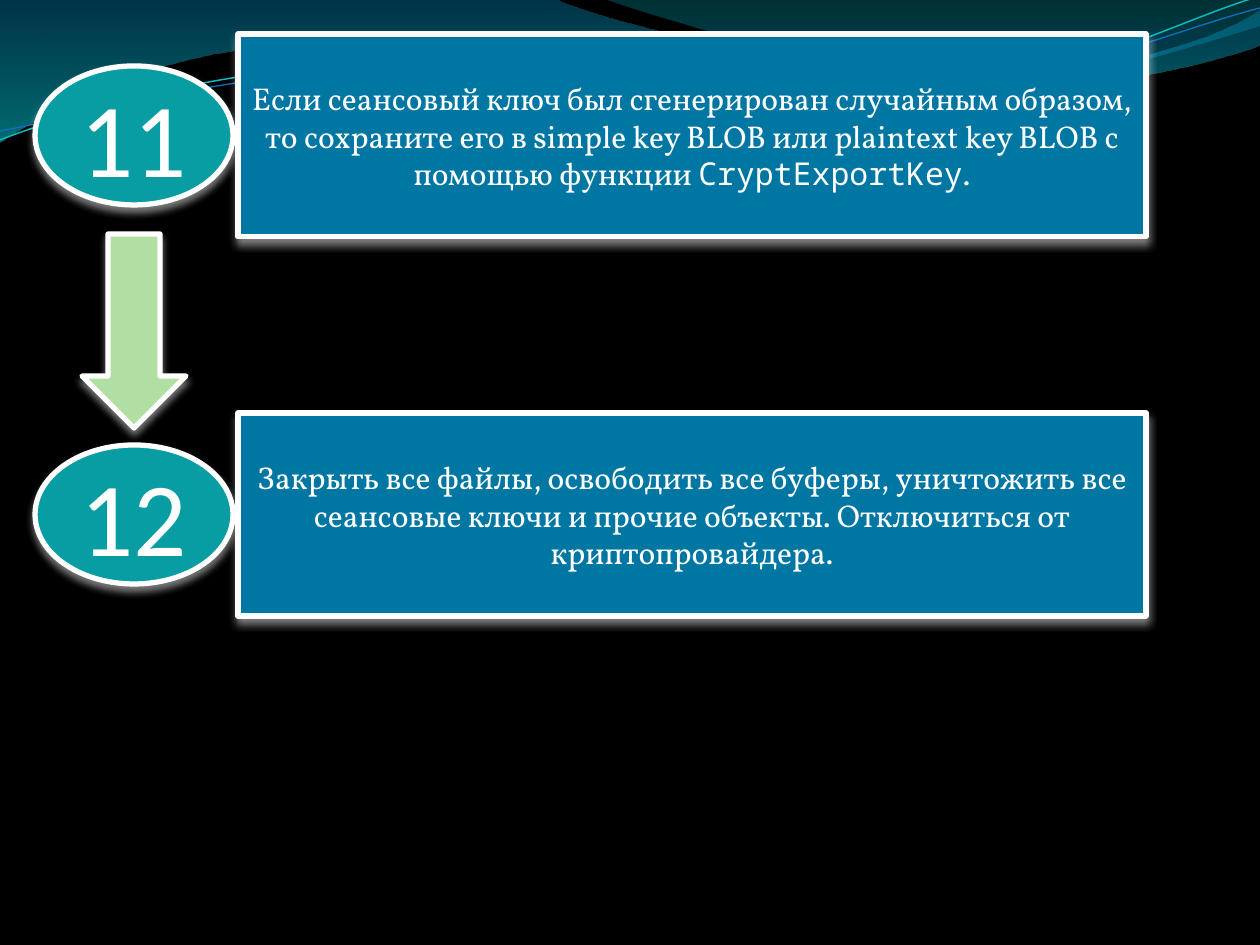
from dataclasses import dataclass
from math import cos, radians, sin

from lxml import etree
from pptx import Presentation
from pptx.dml.color import RGBColor
from pptx.enum.shapes import MSO_SHAPE
from pptx.enum.text import MSO_ANCHOR, PP_ALIGN
from pptx.oxml import parse_xml
from pptx.oxml.ns import nsdecls, qn
from pptx.util import Pt

OVAL, RECT, DOWN_ARROW = MSO_SHAPE.OVAL, MSO_SHAPE.RECTANGLE, MSO_SHAPE.DOWN_ARROW
MIDDLE, CENTER = MSO_ANCHOR.MIDDLE, PP_ALIGN.CENTER
EMU_PER_PX = 914400 / 126


@dataclass(frozen=True)
class Theme:
    background: str = "000000"
    white: str = "FFFFFF"
    number_fill: str = "089CA3"
    step_fill: str = "0076A3"
    arrow_fill: str = "B0DFA1"
    shadow: str = "FFFFFF"
    teal_line: str = "0AB8BF"
    blue_line: str = "0F6FC6"
    left_wave: tuple = ((0, "0074A1", 45), (100, "00C6CF", 55))
    right_wave: tuple = ((0, "00A1A9", 30), (80, "008BBF", 45))
    number_font: str = "Calibri"
    body_font: str = "Vollkorn"
    code_font: str = "Noto Sans Mono"
    number_size: int = 60
    body_size: int = 18
    outline: int = 3


THEME = Theme()

LEFT_WAVE = [
    (0, 0), (554, -1),
    (600, 21, 837, 79, 955, 79), (1075, 79, 1207, 47, 1260, 11),
    (1261, 45),
    (1239, 55, 1096, 96, 940, 95), (784, 95, 481, 35, 324, 43),
    (163, 45, 58, 105, -1, 142),
    (0, 0),
]
RIGHT_WAVE = [
    (604, -1), (641, 14, 859, 78, 969, 82), (1079, 87, 1211, 40, 1260, 26),
    (1260, 0), (604, -1),
]
TEAL_CURVE = [
    (0, 140), (60, 117, 199, 72, 349, 66), (498, 59, 747, 112, 898, 101),
    (1050, 89, 1182, 19, 1257, -3),
]
BLUE_CURVE = [
    (0, 131), (59, 121, 207, 77, 357, 71), (508, 64, 752, 106, 903, 95),
    (1053, 84, 1186, 26, 1260, 8),
]
CURVE_TILT = 357.3

STEPS = [
    ("11", [
        ("Если сеансовый ключ был сгенерирован случайным образом, то сохраните "
         "его в simple key BLOB или plaintext key BLOB с помощью функции ",
         THEME.body_font),
        ("CryptExportKey", THEME.code_font),
        (".", THEME.body_font),
    ]),
    ("12", [
        ("Закрыть все файлы, освободить все буферы, уничтожить все сеансовые "
         "ключи и прочие объекты. Отключиться от криптопровайдера.",
         THEME.body_font),
    ]),
]
STEP_PITCH = 379


def px(value):
    return round(value * EMU_PER_PX)


def rgb(color):
    return RGBColor.from_string(color)


def rotate(point, center, degrees):
    angle = radians(degrees)
    dx, dy = point[0] - center[0], point[1] - center[1]
    return (center[0] + dx * cos(angle) - dy * sin(angle),
            center[1] + dx * sin(angle) + dy * cos(angle))


def join_curves(sp, segments):
    lines = iter(list(sp._element.spPr.iter(qn("a:lnTo"))))
    for segment in segments:
        line = next(lines)
        if len(segment) == 6:
            line.addprevious(curve := parse_xml(f'<a:cubicBezTo {nsdecls("a")}/>'))
            for part in (line, next(lines), next(lines)):
                curve.append(part[0])
                part.getparent().remove(part)


def add_path(s, path, *, close, center=(0, 0), tilt=0):
    points = [segment[i:i + 2] for segment in path for i in range(0, len(segment), 2)]
    start, *rest = [tuple(map(px, rotate(point, center, -tilt))) for point in points]
    builder = s.shapes.build_freeform(*start)
    builder.add_line_segments(rest, close=close)
    sp = builder.convert_to_shape()
    join_curves(sp, path[1:])
    sp.rotation = tilt
    sp.shadow.inherit = False
    return sp


def add_wave(s, path, stops):
    sp = add_path(s, path, close=True)
    sp.line.fill.background()
    stop_xml = "".join(
        f'<a:gs pos="{pos * 1000}"><a:srgbClr val="{color}">'
        f'<a:alpha val="{alpha * 1000}"/></a:srgbClr></a:gs>'
        for pos, color, alpha in stops
    )
    gradient = parse_xml(
        f'<a:gradFill {nsdecls("a")} rotWithShape="1"><a:gsLst>{stop_xml}</a:gsLst>'
        '<a:lin ang="5400000" scaled="0"/></a:gradFill>'
    )
    sp._element.spPr.find(qn("a:custGeom")).addnext(gradient)


def add_curve(s, path, *, center, color, width):
    sp = add_path(s, path, close=False, center=center, tilt=CURVE_TILT)
    sp.fill.background()
    sp.line.color.rgb = rgb(color)
    sp.line.width = Pt(width)


def add_shadow(sp):
    sp.shadow.inherit = False
    effects = sp._element.spPr.find(qn("a:effectLst"))
    effects.append(parse_xml(
        f'<a:outerShdw {nsdecls("a")} blurRad="{Pt(4.5)}" dist="{Pt(3)}" '
        f'dir="5400000" algn="ctr" rotWithShape="0"><a:srgbClr val="{THEME.shadow}">'
        '<a:alpha val="48000"/></a:srgbClr></a:outerShdw>'
    ))


def add_block(s, kind, box, fill):
    sp = s.shapes.add_shape(kind, *map(px, box))
    sp.fill.solid()
    sp.fill.fore_color.rgb = rgb(fill)
    sp.line.color.rgb = rgb(THEME.white)
    sp.line.width = Pt(THEME.outline)
    etree.SubElement(sp.line._get_or_add_ln(), qn("a:round"))
    add_shadow(sp)
    return sp


def add_run(p, text, *, font, size, color=THEME.white):
    r = p.add_run()
    r.text = text
    r.font.name = font
    r.font.size = Pt(size)
    r.font.color.rgb = rgb(color)


def centered_paragraph(sp):
    tf = sp.text_frame
    tf.word_wrap = True
    tf.vertical_anchor = MIDDLE
    p = tf.paragraphs[0]
    p.alignment = CENTER
    return p


def add_step(s, offset, number, runs):
    badge = add_block(s, OVAL, (35, 66 + offset, 198, 139), THEME.number_fill)
    add_run(centered_paragraph(badge), number,
            font=THEME.number_font, size=THEME.number_size)
    panel = add_block(s, RECT, (238, 34 + offset, 908, 203), THEME.step_fill)
    p = centered_paragraph(panel)
    for text, font in runs:
        add_run(p, text, font=font, size=THEME.body_size)


def main():
    prs = Presentation()
    prs.slide_width, prs.slide_height = px(1260), px(945)
    s = prs.slides.add_slide(prs.slide_layouts[6])
    s.background.fill.solid()
    s.background.fill.fore_color.rgb = rgb(THEME.background)
    add_wave(s, LEFT_WAVE, THEME.left_wave)
    add_wave(s, RIGHT_WAVE, THEME.right_wave)
    add_curve(s, TEAL_CURVE, center=(629, 72), color=THEME.teal_line, width=0.85)
    add_curve(s, BLUE_CURVE, center=(629, 74), color=THEME.blue_line, width=0.75)
    for i, (number, runs) in enumerate(STEPS):
        add_step(s, i * STEP_PITCH, number, runs)
    add_block(s, DOWN_ARROW, (82, 234, 104, 194), THEME.arrow_fill)
    prs.save("out.pptx")


if __name__ == "__main__":
    main()
